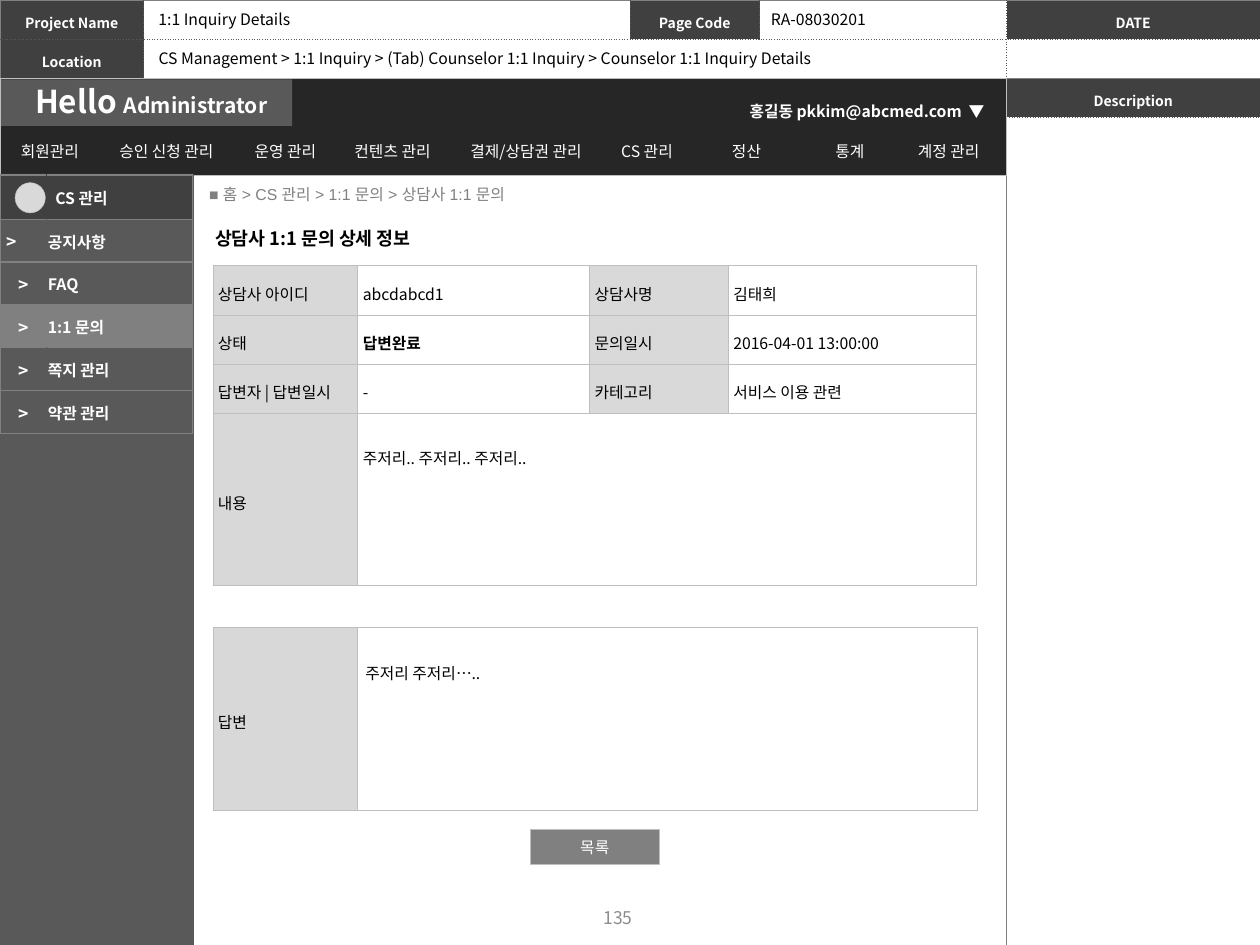
from collections import namedtuple
from dataclasses import dataclass

from lxml.etree import SubElement
from pptx import Presentation
from pptx.dml.color import RGBColor
from pptx.enum.shapes import MSO_SHAPE
from pptx.enum.text import MSO_ANCHOR, MSO_AUTO_SIZE, PP_ALIGN
from pptx.oxml.ns import qn
from pptx.util import Inches, Pt

Box = namedtuple("Box", "x y w h")
Line = namedtuple("Line", "color width dash")


@dataclass(frozen=True)
class Theme:
    """Fonts, colours, type sizes and rules of the wireframe."""
    font: str = "Noto Sans CJK KR"
    trail_font: str = "Arial"
    white: str = "FFFFFF"
    black: str = "000000"
    bar: str = "262626"
    dark: str = "404040"
    panel: str = "595959"
    active: str = "808080"
    page: str = "8C8C8C"
    edge: str = "BFBFBF"
    label: str = "D9D9D9"
    label_alt: str = "D8D8D8"
    head: float = 8
    body: float = 9
    mark: float = 10
    title: float = 10.5
    role: float = 12
    logo: float = 18


T = Theme()
SOLID = Line(T.active, 0.5, "solid")
DOTTED = Line(T.panel, 0.5, "sysDot")
THIN = Line(T.edge, 0.5, "solid")


def write(tf, text, size=T.body, color=T.black, bold=False, align=PP_ALIGN.LEFT,
          spacing=None, font=T.font):
    """Put one styled paragraph into a text frame and return it."""
    p = tf.paragraphs[0]
    if text:
        p.add_run().text = text
    else:
        p._p.get_or_add_endParaRPr().set("sz", str(int(size * 100)))
    p.alignment = align
    if spacing:
        p.line_spacing = spacing
    p.font.size, p.font.bold, p.font.name = Pt(size), bold, font
    p.font.color.rgb = RGBColor.from_string(color)
    SubElement(p._p.pPr.find(qn("a:defRPr")), qn("a:ea"), typeface=font)
    return p


def add_text(s, box, text, wrap=False, grow=True, left=0.1, **style):
    """Add a text box; one that does not grow is centred vertically."""
    tf = s.shapes.add_textbox(*map(Inches, box)).text_frame
    tf.word_wrap = wrap
    tf.margin_left = Inches(left)
    tf.auto_size = MSO_AUTO_SIZE.SHAPE_TO_FIT_TEXT if grow else MSO_AUTO_SIZE.NONE
    tf.vertical_anchor = MSO_ANCHOR.TOP if grow else MSO_ANCHOR.MIDDLE
    return write(tf, text, **style)


def add_block(s, box, fill, outlined=False, kind=MSO_SHAPE.RECTANGLE):
    """Add a flat filled shape."""
    sp = s.shapes.add_shape(kind, *map(Inches, box))
    sp.shadow.inherit = False
    sp.fill.solid()
    sp.fill.fore_color.rgb = RGBColor.from_string(fill)
    if outlined:
        sp.line.color.rgb = RGBColor.from_string(T.edge)
        sp.line.width = Pt(0.25)
    else:
        sp.line.fill.background()
    return sp


def add_grid(s, box, cols, rows):
    """Add an unstyled table with the given column widths and row heights."""
    tbl = s.shapes.add_table(len(rows), len(cols), *map(Inches, box)).table
    tbl.first_row = tbl.horz_banding = False
    for col, width in zip(tbl.columns, cols):
        col.width = Inches(width)
    for row, height in zip(tbl.rows, rows):
        row.height = Inches(height)
    return tbl


def set_cell(cell, text="", fill=None, insets=(0.04, 0.04, 0.04, 0.04),
             anchor=MSO_ANCHOR.MIDDLE, **style):
    """Fill a cell with a colour and text; insets run left, top, right, bottom."""
    if fill:
        cell.fill.solid()
        cell.fill.fore_color.rgb = RGBColor.from_string(fill)
    else:
        cell.fill.background()
    cell.margin_left, cell.margin_top, cell.margin_right, cell.margin_bottom = map(Inches, insets)
    cell.vertical_anchor = anchor
    write(cell.text_frame, text, **style)


def rule_grid(tbl, outer, inner, seams=None):
    """Draw cell borders; seams gives each row its own inner vertical line."""
    n_rows, n_cols = len(tbl.rows), len(tbl.columns)
    for i in range(n_rows):
        seam = seams[i] if seams else inner
        for j in range(n_cols):
            cell = tbl.cell(i, j)
            if cell.is_spanned:
                continue
            last = j + (cell.span_width if cell.is_merge_origin else 1) == n_cols
            sides = {"lnL": seam if j else outer, "lnR": outer if last else seam,
                     "lnT": inner if i else outer, "lnB": outer if i == n_rows - 1 else inner}
            tc_pr = cell._tc.get_or_add_tcPr()
            for k, (tag, line) in enumerate(sides.items()):
                ln = SubElement(tc_pr, qn(f"a:{tag}"), w=str(Pt(line.width)))
                SubElement(SubElement(ln, qn("a:solidFill")), qn("a:srgbClr"), val=line.color)
                SubElement(ln, qn("a:prstDash"), val=line.dash)
                tc_pr.insert(k, ln)


def add_header(s, box):
    """Project header with name, page code, date and location."""
    tbl = add_grid(s, box, [1.14, 3.86, 1.03, 1.96, 2.01], [box.h / 2] * 2)
    tbl.cell(1, 1).merge(tbl.cell(1, 3))
    rows = [["Project Name", "", "Page Code", "", "DATE"], ["Location", "", "", "", ""]]
    for i, row in enumerate(rows):
        for j, text in enumerate(row):
            set_cell(tbl.cell(i, j), text, T.dark if text else None, size=T.head,
                     color=T.white, bold=True, align=PP_ALIGN.CENTER, spacing=1.3)
    rule_grid(tbl, SOLID, DOTTED)
    trail = "CS Management > 1:1 Inquiry > (Tab) Counselor 1:1 Inquiry > Counselor 1:1 Inquiry Details"
    for x, y, w, text in [(1.16, 0.03, 1.26, "1:1 Inquiry Details"),
                          (6.02, 0.03, 0.98, "RA-08030201"), (1.16, 0.34, 5.49, trail)]:
        add_text(s, Box(box.x + x, box.y + y, w, 0.25), text)


def add_description(s, box):
    """Empty description column with its heading."""
    tbl = add_grid(s, box, [box.w], [0.31, box.h - 0.31])
    for i, (text, fill) in enumerate([("Description", T.dark), ("", None)]):
        set_cell(tbl.cell(i, 0), text, fill, size=T.head, color=T.white, bold=True,
                 align=PP_ALIGN.CENTER, spacing=1.3)
    rule_grid(tbl, SOLID, DOTTED)


def add_top_bar(s, box):
    """Administrator bar with greeting, account and main menu."""
    add_block(s, box, T.bar, outlined=True)
    add_block(s, Box(box.x + 0.01, box.y + 0.01, 2.31, 0.37), T.panel)
    p = add_text(s, Box(box.x + 0.18, box.y - 0.02, 2.09, 0.4), "Hello ",
                 size=T.logo, color=T.white, bold=True)
    r = p.add_run()
    r.text, r.font.size = "Administrator", Pt(T.role)
    menu = {"회원관리": 0.75, "승인 신청 관리": 1.1, "운영 관리": 0.79, "컨텐츠 관리": 0.91,
            "결제/상담권 관리": 1.21, "CS 관리": 0.71, "정산": 0.87, "통계": 0.77, "계정 관리": 0.8}
    tbl = add_grid(s, Box(box.x + 0.02, box.y + 0.42, 7.9, 0.31), menu.values(), [0.31])
    for j, text in enumerate(menu):
        set_cell(tbl.cell(0, j), text, insets=(0.1, 0.05, 0.1, 0.05), color=T.white,
                 align=PP_ALIGN.CENTER)
    edge = Line(T.bar, 1, "solid")
    rule_grid(tbl, edge, edge)
    account = dict(color=T.white, bold=True, spacing=1.2)
    add_text(s, Box(box.x + 5.82, box.y + 0.11, 1.94, 0.26), "홍길동 pkkim@abcmed.com",
             wrap=True, align=PP_ALIGN.CENTER, **account)
    add_text(s, Box(box.x + 7.59, box.y + 0.11, 0.33, 0.26), "▼", **account)


def add_sidebar(s, box):
    """Side menu with the current entry highlighted."""
    add_block(s, box, T.panel)
    items = ["CS 관리", "공지사항", "FAQ", "1:1 문의", "쪽지 관리", "약관 관리"]
    fills = [T.dark, T.panel, T.panel, T.active, T.panel, T.panel]
    tbl = add_grid(s, Box(box.x, box.y + 0.01, box.w, 2.05), [0.37, 1.16], [0.35] + [0.34] * 5)
    for i, (text, fill) in enumerate(zip(items, fills)):
        set_cell(tbl.cell(i, 0), ">" if i else "", fill,
                 (0.01, 0.01, 0.19 if i == 1 else 0.01, 0), size=T.mark,
                 color=T.white, bold=True, align=PP_ALIGN.CENTER)
        set_cell(tbl.cell(i, 1), text, fill, (0.01 if i else 0.07, 0.01, 0.01, 0),
                 color=T.white, bold=True)
    edge = Line(T.active, 1, "solid")
    rule_grid(tbl, edge, edge, [Line(fill, 1, "solid") for fill in fills])
    add_block(s, Box(box.x + 0.12, box.y + 0.07, 0.24, 0.24), T.label, True, MSO_SHAPE.OVAL)


def add_details(s, box):
    """Inquiry details: trail, title, inquiry table, answer table and button."""
    add_text(s, Box(box.x - 0.08, box.y - 0.01, 6.22, 0.34),
             "■ 홈 > CS 관리 > 1:1 문의 > 상담사 1:1 문의", wrap=True, grow=False, left=0.2,
             color=T.active, font=T.trail_font)
    add_text(s, Box(box.x + 0.07, box.y + 0.37, 1.95, 0.28), "상담사 1:1 문의 상세 정보",
             size=T.title, bold=True)
    inset, note = (0.04, 0.01, 0.01, 0), (0.04, 0.23, 0.01, 0)
    rows = [["상담사 아이디", "abcdabcd1", "상담사명", "김태희"],
            ["상태", "답변완료", "문의일시", "2016-04-01 13:00:00"],
            ["답변자 | 답변일시", "-", "카테고리", "서비스 이용 관련"]]
    tbl = add_grid(s, Box(box.x + 0.15, box.y + 0.73, 6.06, 2.55),
                   [1.15, 1.84, 1.1, 1.97], [0.39] * 3 + [1.37])
    fills = [T.label_alt, None, T.label, None]
    for i, row in enumerate(rows):
        for j, text in enumerate(row):
            set_cell(tbl.cell(i, j), text, fills[j], inset, spacing=1.2, bold=text == "답변완료")
    tbl.cell(3, 1).merge(tbl.cell(3, 3))
    answer = add_grid(s, Box(box.x + 0.15, box.y + 3.6, 6.06, 1.45), [1.15, 4.92], [1.45])
    for grid, i, label, text, left in [(tbl, 3, "내용", "주저리.. 주저리.. 주저리..", 0.04),
                                       (answer, 0, "답변", "주저리 주저리…..", 0.06)]:
        set_cell(grid.cell(i, 0), label, T.label_alt, inset, spacing=1.2)
        set_cell(grid.cell(i, 1), text, None, (left, *note[1:]), MSO_ANCHOR.TOP, spacing=1.2)
        rule_grid(grid, THIN, THIN)
    button = add_block(s, Box(box.x + 2.67, box.y + 5.2, 1.02, 0.28), T.active, outlined=True)
    button.text_frame.vertical_anchor = MSO_ANCHOR.MIDDLE
    write(button.text_frame, "목록", color=T.white, align=PP_ALIGN.CENTER)
    add_text(s, Box(box.x + 2.2, box.y + 5.7, 2.33, 0.4), "135", wrap=True, grow=False,
             size=T.mark, color=T.page, align=PP_ALIGN.CENTER)


def main():
    """Build the slide and save it."""
    prs = Presentation()
    prs.slide_width, prs.slide_height = Inches(10), Inches(7.5)
    s = prs.slides.add_slide(prs.slide_layouts[6])
    add_header(s, Box(0, 0, 10, 0.62))
    add_description(s, Box(7.99, 0.62, 2.01, 6.88))
    add_top_bar(s, Box(0, 0.62, 7.99, 0.77))
    add_sidebar(s, Box(0, 1.38, 1.54, 6.12))
    add_details(s, Box(1.54, 1.38, 6.45, 6.12))
    prs.save("out.pptx")


if __name__ == "__main__":
    main()
